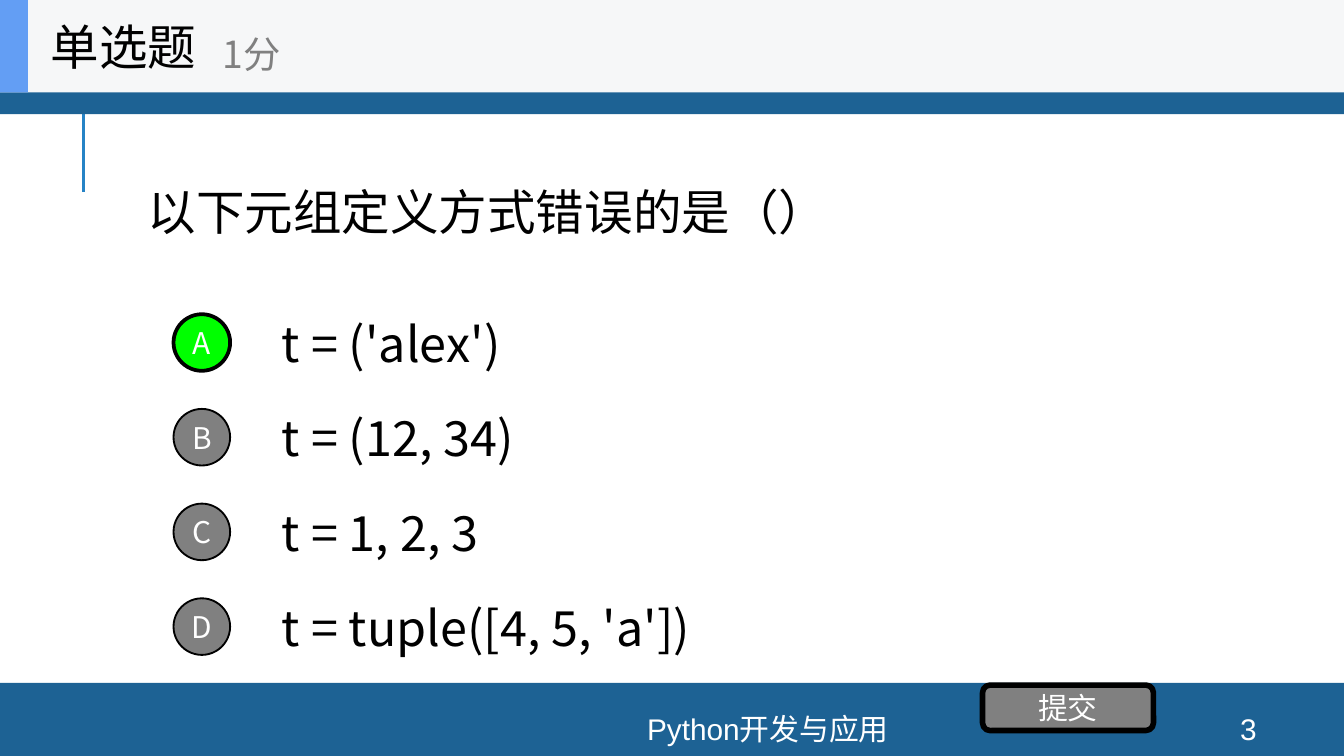
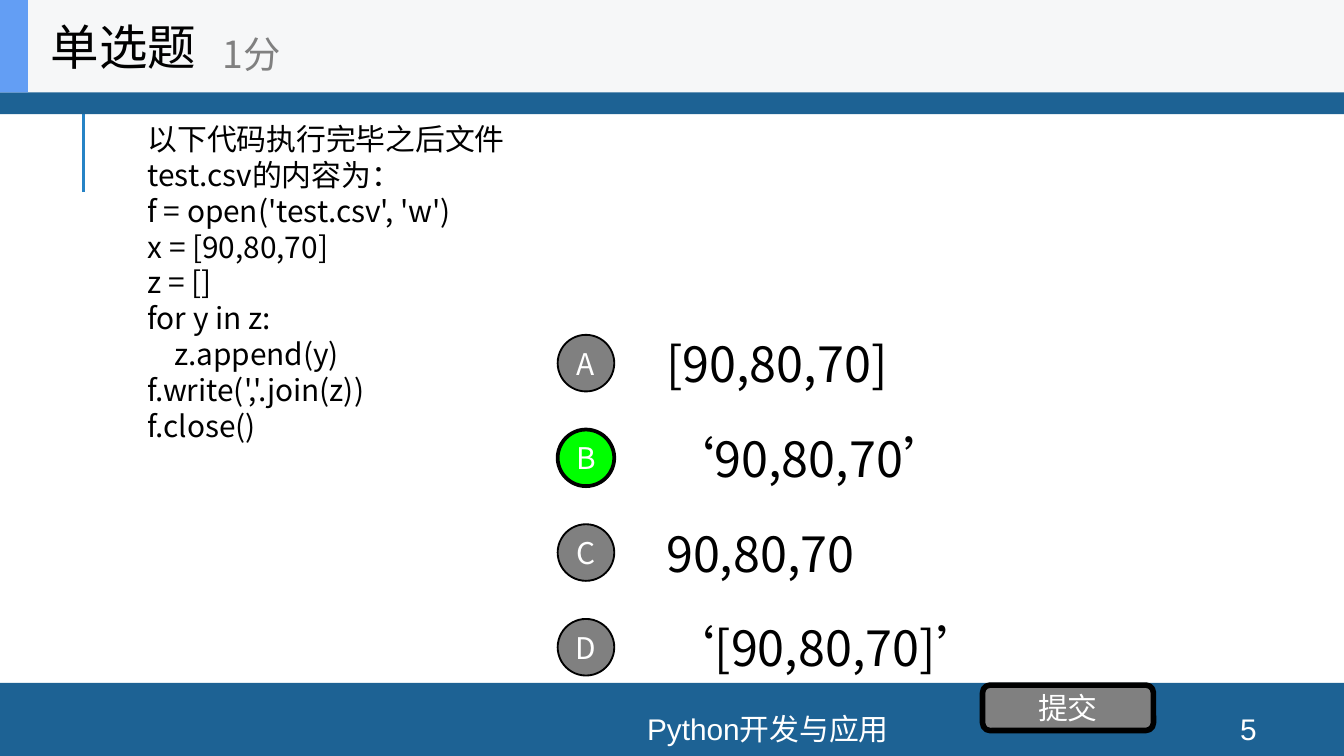
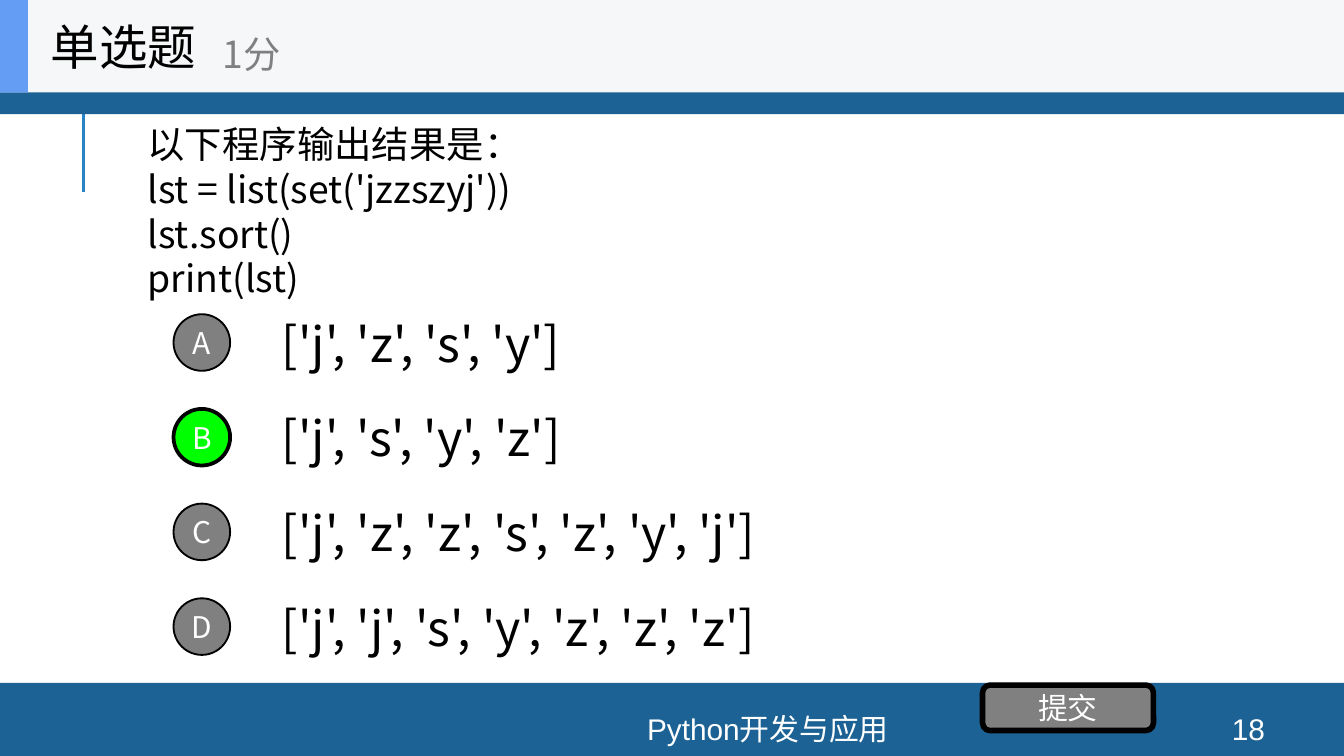
import lxml.etree
import pptx
import pptx.dml.color
import pptx.enum.shapes
import pptx.enum.text
import pptx.oxml.ns
import pptx.util

Cm = pptx.util.Cm
Pt = pptx.util.Pt
RGBColor = pptx.dml.color.RGBColor
Shape = pptx.enum.shapes.MSO_SHAPE
Align = pptx.enum.text.PP_ALIGN

BLACK = RGBColor(0x00, 0x00, 0x00)
WHITE = RGBColor(0xFF, 0xFF, 0xFF)
GREY = RGBColor(0x80, 0x80, 0x80)
GREEN = RGBColor(0x00, 0xFF, 0x00)
BAND_BLUE = RGBColor(0x1D, 0x62, 0x94)
LINE_BLUE = RGBColor(0x26, 0x83, 0xC6)
ACCENT_BLUE = RGBColor(0x63, 0x9E, 0xF4)
HEADER_GREY = RGBColor(0xF6, 0xF7, 0xF8)

CJK_FONT = "Noto Sans CJK SC"
FOOTER_FONT = "Arial"
PAGE_WIDTH, PAGE_HEIGHT = 25.4, 14.29
OPTION_PITCH = 1.79
CIRCLE_SIZE = 1.07

QUESTIONS = [
    {
        "number": "3",
        "lines": ["以下元组定义方式错误的是（）"],
        "size": 26,
        "area": (2.54, 1.75, 20.32, 4.47),
        "options": ["t = ('alex')", "t = (12, 34)", "t = 1, 2, 3", "t = tuple([4, 5, 'a'])"],
        "widths": [17.78] * 4,
        "answer": "A",
        "origin": (3.28, 5.94),
    },
    {
        "number": "5",
        "lines": [
            "以下代码执行完毕之后文件test.csv的内容为：",
            "f = open('test.csv', 'w')",
            "x = [90,80,70]",
            "z = []",
            "for y in z:",
            "    z.append(y)",
            "f.write(','.join(z))",
            "f.close()",
        ],
        "size": 16,
        "area": (2.54, 1.75, 7.62, 7.16),
        "options": ["[90,80,70]", "‘90,80,70’", "90,80,70", "‘[90,80,70]’"],
        "widths": [6.86, 7.98, 5.69, 6.68],
        "answer": "B",
        "origin": (10.54, 6.33),
    },
    {
        "number": "18",
        "lines": ["以下程序输出结果是：", "lst = list(set('jzzszyj'))", "lst.sort()", "print(lst)"],
        "size": 20,
        "area": (2.54, 1.75, 20.32, 4.47),
        "options": [
            "['j', 'z', 's', 'y']",
            "['j', 's', 'y', 'z']",
            "['j', 'z', 'z', 's', 'z', 'y', 'j']",
            "['j', 'j', 's', 'y', 'z', 'z', 'z']",
        ],
        "widths": [17.78] * 4,
        "answer": "B",
        "origin": (3.28, 5.94),
    },
]


class QuizDeck:
    def __init__(self):
        self.deck = pptx.Presentation()
        self.deck.slide_width = Cm(PAGE_WIDTH)
        self.deck.slide_height = Cm(PAGE_HEIGHT)
        self.page = None

    def fill_text(self, box, lines, size, color, font=CJK_FONT, align=Align.LEFT):
        frame = box.text_frame
        frame.word_wrap = True
        frame.vertical_anchor = pptx.enum.text.MSO_ANCHOR.MIDDLE
        for index, line in enumerate(lines):
            para = frame.add_paragraph() if index else frame.paragraphs[0]
            para.alignment = align
            if len(lines) > 1:
                para.line_spacing = Pt(size * 1.2)
            span = para.add_run()
            span.text = line
            span.font.size = Pt(size)
            span.font.color.rgb = color
            span.font.name = font
            properties = span._r.get_or_add_rPr()
            east_asian = lxml.etree.SubElement(properties, pptx.oxml.ns.qn("a:ea"))
            east_asian.set("typeface", CJK_FONT)

    def text(self, area, lines, size, color=BLACK, shapes=None, **style):
        shapes = self.page.shapes if shapes is None else shapes
        self.fill_text(shapes.add_textbox(*map(Cm, area)), lines, size, color, **style)

    def shape(self, kind, area, fill, outline=0, label="", shapes=None):
        shapes = self.page.shapes if shapes is None else shapes
        box = shapes.add_shape(kind, *map(Cm, area))
        box.shadow.inherit = False
        box.fill.solid()
        box.fill.fore_color.rgb = fill
        if outline:
            box.line.color.rgb = BLACK
            box.line.width = Pt(outline)
        else:
            box.line.fill.background()
        if label:
            frame = box.text_frame
            frame.margin_left = frame.margin_right = 0
            frame.margin_top = frame.margin_bottom = 0
            self.fill_text(box, [label], 16, WHITE, align=Align.CENTER)

    def side_line(self):
        line = self.page.shapes.add_connector(
            pptx.enum.shapes.MSO_CONNECTOR.STRAIGHT, Cm(1.58), Cm(3.63), Cm(1.58), Cm(1.73)
        )
        line.line.color.rgb = LINE_BLUE
        line.line.width = Pt(1.5)
        lxml.etree.SubElement(line._element.spPr, pptx.oxml.ns.qn("a:effectLst"))

    def frame(self, number):
        self.page = self.deck.slides.add_slide(self.deck.slide_layouts[6])
        self.side_line()
        self.shape(Shape.RECTANGLE, (0, 12.91, PAGE_WIDTH, 1.38), BAND_BLUE)
        self.shape(Shape.RECTANGLE, (0, -0.08, PAGE_WIDTH, 2.24), BAND_BLUE)
        footers = [((6.63, 13.49, 15.77, 0.58), "Python开发与应用"), ((22.58, 13.49, 2.03, 0.58), number)]
        for area, words in footers:
            self.text(area, [words], 16, WHITE, font=FOOTER_FONT, align=Align.CENTER)

    def options(self, origin, labels, widths, answer):
        left, top = origin
        for row, (letter, label, width) in enumerate(zip("ABCD", labels, widths)):
            y = top + row * OPTION_PITCH
            correct = letter == answer
            self.text((left + 1.8, y - 0.14, width, 1.35), [label], 26)
            self.shape(
                Shape.OVAL,
                (left, y, CIRCLE_SIZE, CIRCLE_SIZE),
                GREEN if correct else GREY,
                2 if correct else 1,
                letter,
            )

    def header(self):
        group = self.page.shapes.add_group_shape().shapes
        self.shape(Shape.RECTANGLE, (0, 0, PAGE_WIDTH, 1.75), HEADER_GREY, shapes=group)
        self.shape(Shape.RECTANGLE, (0, 0, 0.53, 1.75), ACCENT_BLUE, shapes=group)
        self.text((0.71, 0, 5.28, 1.75), ["单选题"], 26, shapes=group)
        self.text((3.96, 0.3, 6.35, 1.42), ["1分"], 20, GREY, shapes=group)

    def question(self, content):
        self.frame(content["number"])
        self.text(content["area"], content["lines"], content["size"])
        self.options(content["origin"], content["options"], content["widths"], content["answer"])
        self.shape(Shape.ROUNDED_RECTANGLE, (18.57, 12.95, 3.23, 0.86), GREY, 3, "提交")
        self.header()


def main():
    quiz = QuizDeck()
    for content in QUESTIONS:
        quiz.question(content)
    quiz.deck.save("out.pptx")


if __name__ == "__main__":
    main()
